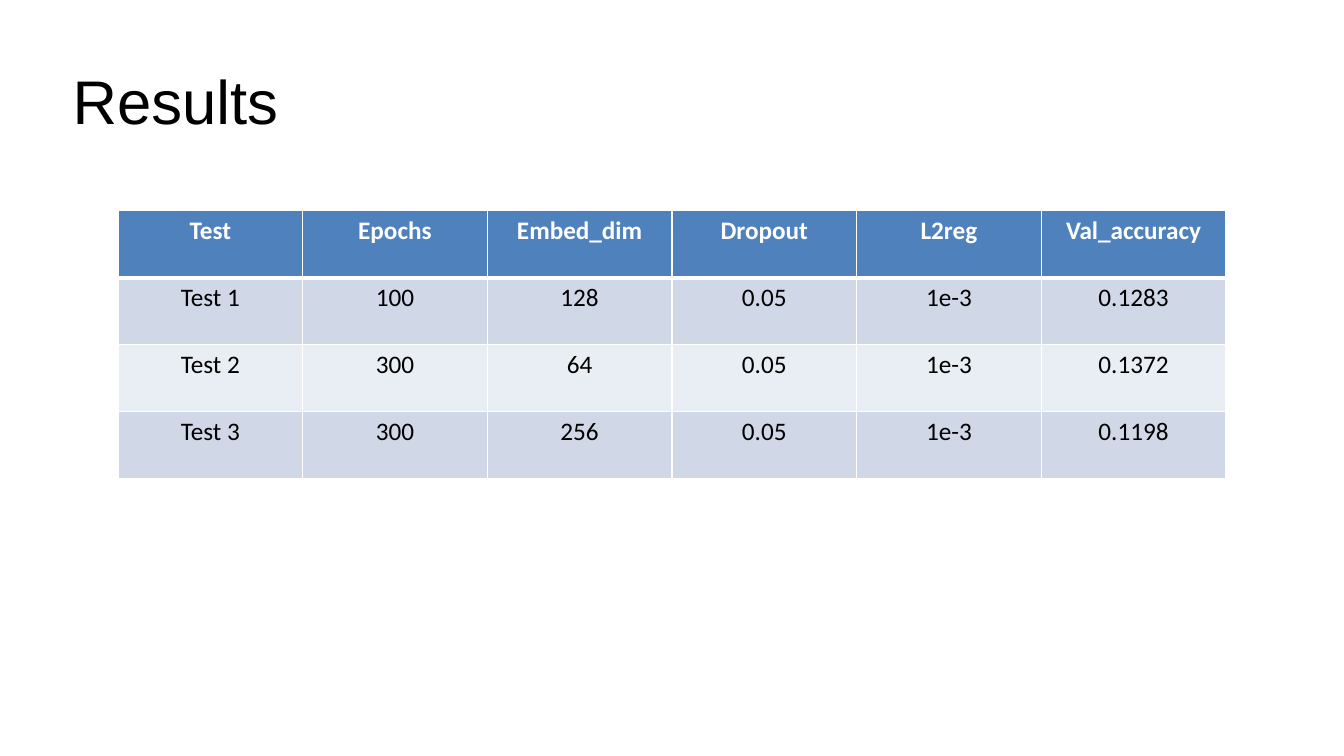
from lxml.etree import SubElement as Sub
from pptx import Presentation
from pptx.dml.color import RGBColor as Rgb
from pptx.enum.text import MSO_ANCHOR as Anchor, PP_ALIGN as Align
from pptx.oxml.ns import qn
from pptx.util import Inches, Pt

COLORS = {
    "white": "FFFFFF",
    "black": "000000",
    "head": "4F81BD",
    "odd": "D0D8E8",
    "even": "E9EDF4",
}

RESULTS = [
    ["Test", "Epochs", "Embed_dim", "Dropout", "L2reg", "Val_accuracy"],
    ["Test 1", "100", "128", "0.05", "1e-3", "0.1283"],
    ["Test 2", "300", "64", "0.05", "1e-3", "0.1372"],
    ["Test 3", "300", "256", "0.05", "1e-3", "0.1198"],
]


def color(name):
    return Rgb.from_string(COLORS[name])


def add_run(para, text, font, size, tint, bold=False):
    run = para.add_run()
    run.text = text
    run.font.name = font
    run.font.size = Pt(size)
    run.font.bold = bold
    run.font.color.rgb = color(tint)


def set_title(slide, text):
    title = slide.shapes.title
    title.left, title.top = Inches(0.67), Inches(0.37)
    title.width, title.height = Inches(12), Inches(1.25)
    frame = title.text_frame
    frame.word_wrap = True
    frame.vertical_anchor = Anchor.MIDDLE
    frame.margin_left = Inches(0.05)
    para = frame.paragraphs[0]
    para.alignment = Align.LEFT
    add_run(para, text, "Arial", 44, "black")


def add_edge(cell, side, width):
    props = cell._tc.get_or_add_tcPr()
    line = Sub(props, qn(f"a:ln{side}"), w=str(Pt(width)))
    fill = Sub(line, qn("a:solidFill"))
    Sub(fill, qn("a:srgbClr"), val=COLORS["white"])


def fill_cell(cell, text, row):
    head = row == 0
    # Borders: a thick rule parts the header from the body
    widths = {"L": 1, "R": 1, "T": 3 if row == 1 else 1, "B": 3 if head else 1}
    for side, width in widths.items():
        add_edge(cell, side, width)
    cell.fill.solid()
    band = "head" if head else "odd" if row % 2 else "even"
    cell.fill.fore_color.rgb = color(band)
    para = cell.text_frame.paragraphs[0]
    para.alignment = Align.CENTER
    add_run(para, text, "Calibri", 18, "white" if head else "black", head)


def add_grid(slide, rows):
    frame = slide.shapes.add_table(
        len(rows), len(rows[0]),
        Inches(1.17), Inches(2.09), Inches(10.99), Inches(2.66))
    for r, row in enumerate(rows):
        for c, text in enumerate(row):
            fill_cell(frame.table.cell(r, c), text, r)


def main():
    deck = Presentation()
    deck.slide_width, deck.slide_height = Inches(13.33), Inches(7.5)
    slide = deck.slides.add_slide(deck.slide_layouts[5])
    set_title(slide, "Results")
    add_grid(slide, RESULTS)
    deck.save("out.pptx")


main()
